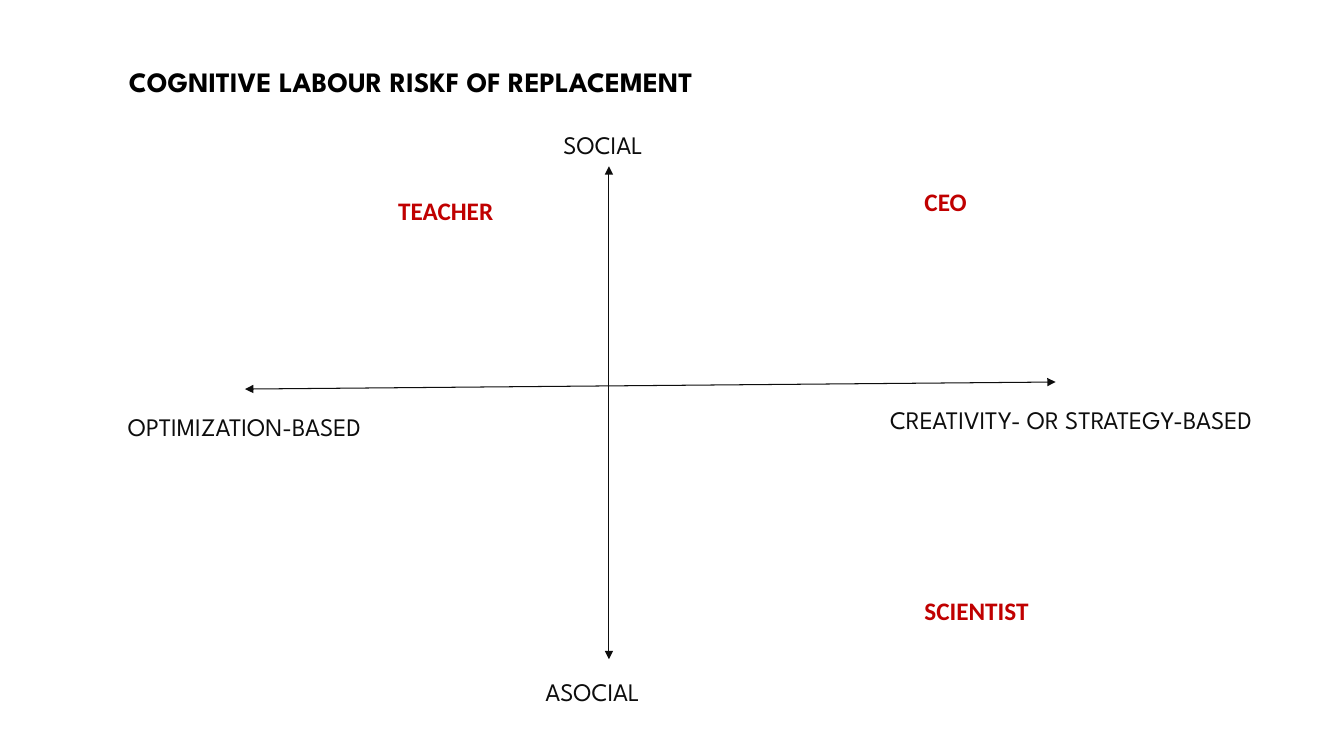
from lxml import etree
from pptx import Presentation
from pptx.dml.color import RGBColor
from pptx.enum.shapes import MSO_CONNECTOR
from pptx.enum.text import MSO_AUTO_SIZE
from pptx.oxml.ns import qn
from pptx.util import Inches, Pt

COLORS = {"title": "000000", "axis": "0D0D0D", "role": "C00000"}
HEAD, BODY = "League Spartan", "Calibri"


def add_text(slide, text, box, size, font, color, bold=False, wrap=True):
    label = slide.shapes.add_textbox(*map(Inches, box))
    frame = label.text_frame
    frame.word_wrap = wrap
    if not wrap:
        frame.auto_size = MSO_AUTO_SIZE.SHAPE_TO_FIT_TEXT
    run = frame.paragraphs[0].add_run()
    run.text = text
    run.font.name = font
    run.font.size = Pt(size)
    run.font.bold = bold
    run.font.color.rgb = RGBColor.from_string(COLORS[color])


def add_axis(slide, start, end):
    """Draw a thin line with an arrowhead at both ends."""
    axis = slide.shapes.add_connector(
        MSO_CONNECTOR.STRAIGHT, *map(Inches, start + end))
    axis.line.width = Pt(0.75)
    axis.line.color.rgb = RGBColor.from_string(COLORS["axis"])
    props = axis._element.spPr
    line = props.find(qn("a:ln"))
    for tag in ("a:headEnd", "a:tailEnd"):
        etree.SubElement(line, qn(tag), type="triangle")
    etree.SubElement(props, qn("a:effectLst"))


def add_axes(slide, box):
    """Draw the crossed axes in the box and name their four ends."""
    left, top, width, height = box
    right, bottom = left + width, top + height
    middle = left + 3.61
    add_axis(slide, (middle, top), (middle, bottom))
    add_axis(slide, (left, top + 2.21), (right, top + 2.14))
    ends = [
        ("OPTIMIZATION-BASED", left - 1.26, top + 2.38, 3.53, 0.71),
        ("CREATIVITY- OR STRATEGY-BASED", right - 1.74, top + 2.31, 4.5, 0.71),
        ("ASOCIAL", middle - 0.73, bottom + 0.12, 1.61, 0.71),
        ("SOCIAL", middle - 0.55, top - 0.42, 1.61, 0.4),
    ]
    for text, *place in ends:
        add_text(slide, text, place, 18, HEAD, "axis")


def add_roles(slide, box):
    """Place the job names within the box of the axes."""
    left, top = box[:2]
    roles = [
        ("CEO", 6.64, 0.15, 0.62),
        ("SCIENTIST", 6.64, 4.21, 1.24),
        ("TEACHER", 1.42, 0.24, 1.15),
    ]
    for text, across, down, width in roles:
        place = (left + across, top + down, width, 0.4)
        add_text(slide, text, place, 18, BODY, "role", bold=True, wrap=False)


def main():
    deck = Presentation()
    deck.slide_width, deck.slide_height = Inches(13.33), Inches(7.5)
    slide = deck.slides.add_slide(deck.slide_layouts[6])
    chart = (2.43, 1.65, 8.04, 4.89)
    add_text(slide, "COGNITIVE LABOUR RISKF OF REPLACEMENT",
             (1.18, 0.59, 6.91, 0.44), 20, HEAD, "title", bold=True, wrap=False)
    add_axes(slide, chart)
    add_roles(slide, chart)
    deck.save("out.pptx")


if __name__ == "__main__":
    main()
